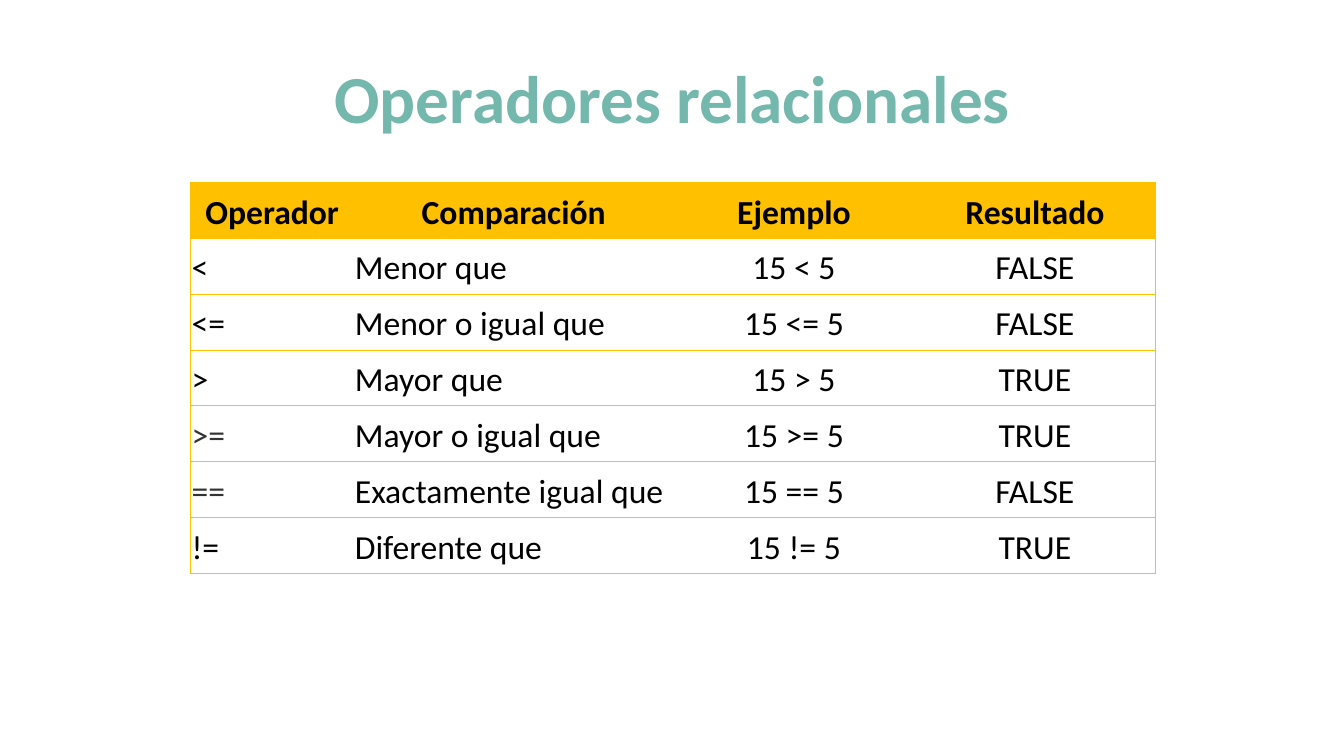
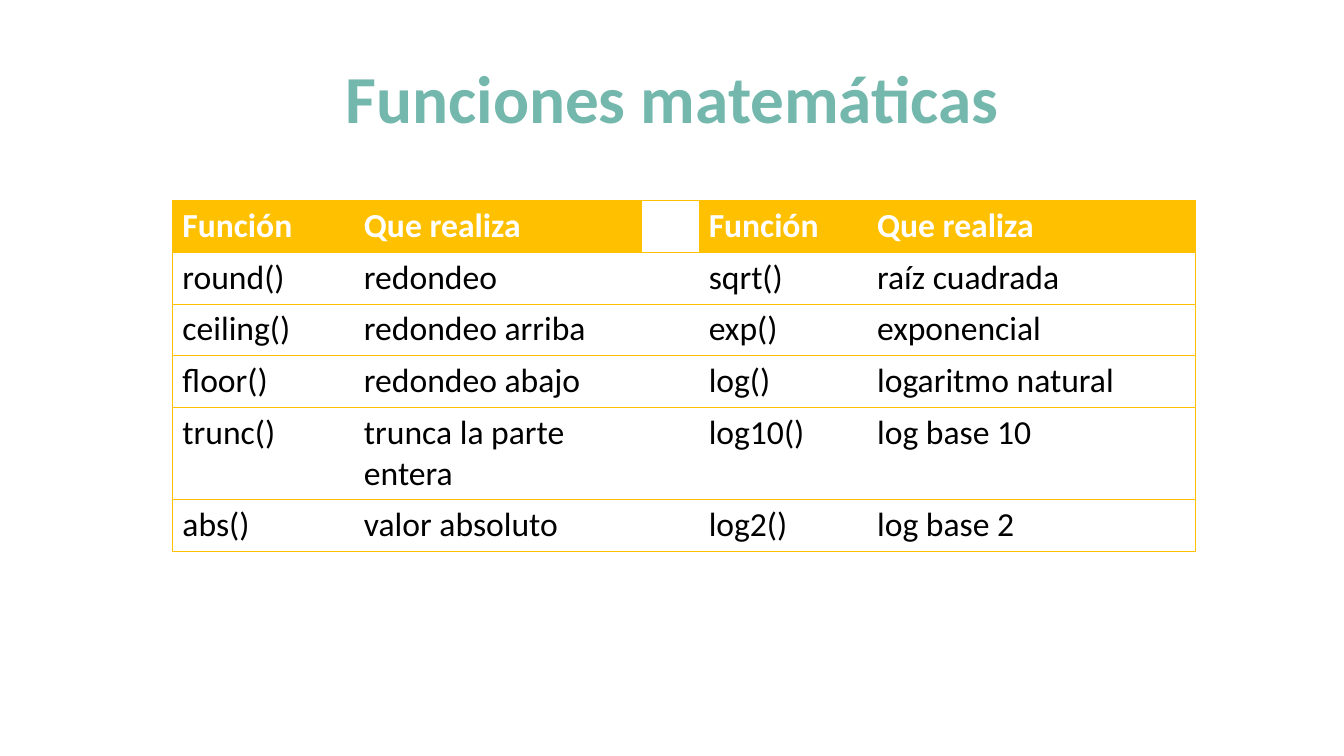
from lxml import etree
from pptx import Presentation
from pptx.dml.color import RGBColor as RGB
from pptx.enum.text import MSO_ANCHOR as Anchor, PP_ALIGN as Align
from pptx.oxml.ns import qn
from pptx.util import Emu, Pt

HUES = {"title": "74B7AD", "gold": "FFC000", "white": "FFFFFF",
        "black": "000000", "gray": "333333"}
FONT = "Calibri"
NO_STYLE = "{2D5ABB26-0587-4C30-8999-92F81FD0307C}"

RELATIONS = [
    ("Operador", "Comparación", "Ejemplo", "Resultado"),
    ("<", "Menor que", "15 < 5", "FALSE"),
    ("<=", "Menor o igual que", "15 <= 5", "FALSE"),
    (">", "Mayor que", "15 > 5", "TRUE"),
    (">=", "Mayor o igual que", "15 >= 5", "TRUE"),
    ("==", "Exactamente igual que", "15 == 5", "FALSE"),
    ("!=", "Diferente que", "15 != 5", "TRUE"),
]
MATH = [
    ("Función", "Que realiza", "", "Función", "Que realiza"),
    ("round()", "redondeo", "", "sqrt()", "raíz cuadrada"),
    ("ceiling()", "redondeo arriba", "", "exp()", "exponencial"),
    ("floor()", "redondeo abajo", "", "log()", "logaritmo natural"),
    ("trunc()", "trunca la parte entera", "", "log10()", "log base 10"),
    ("abs()", "valor absoluto", "", "log2()", "log base 2"),
]


def px(n):
    """Turn px, 100 to the inch, into EMU."""
    return Emu(n * 9144)


def write(frame, text, size=24, hue="black", bold=False, align=Align.LEFT):
    para = frame.paragraphs[0]
    para.alignment = align
    run = para.add_run()
    run.text = text
    font = run.font
    font.name, font.size, font.bold = FONT, Pt(size), bold
    font.color.rgb = RGB.from_string(HUES[hue])


def add_slide(deck, title):
    slide = deck.slides.add_slide(deck.slide_layouts[5])
    shape = slide.shapes.title
    shape.left, shape.top, shape.width, shape.height = map(px, (92, 39, 1150, 114))
    frame = shape.text_frame
    frame.vertical_anchor = Anchor.MIDDLE
    write(frame, title, size=48, hue="title", bold=True, align=Align.CENTER)
    return slide


def add_edges(cell, sides):
    """Rule the given sides (from L, R, T, B, in that order) in gold."""
    props = cell._tc.get_or_add_tcPr()
    for side in sides:
        line = etree.SubElement(props, qn(f"a:ln{side}"), w=str(Pt(0.5)))
        fill = etree.SubElement(line, qn("a:solidFill"))
        etree.SubElement(fill, qn("a:srgbClr"), val=HUES["gold"])


def add_grid(slide, data, left, top, high, widths):
    """Add a ruled table with a gold head and return it."""
    box = map(px, (left, top, sum(widths), high))
    table = slide.shapes.add_table(len(data), len(widths), *box).table
    table.horz_banding = False
    table._tbl.tblPr.find(qn("a:tableStyleId")).text = NO_STYLE
    for col, width in zip(table.columns, widths):
        col.width = px(width)
    last = len(widths) - 1
    for r, row in enumerate(data):
        for c, text in enumerate(row):
            cell = table.cell(r, c)
            add_edges(cell, {0: "L", last: "R"}.get(c, "") + "TB")
            cell.fill.solid()
            hue = "gold" if r == 0 and text else "white"
            cell.fill.fore_color.rgb = RGB.from_string(HUES[hue])
    return table


def add_relations(deck):
    slide = add_slide(deck, "Operadores relacionales")
    table = add_grid(slide, RELATIONS, 189, 181, 388, (162, 317, 239, 239))
    for r, row in enumerate(RELATIONS):
        for c, text in enumerate(row):
            cell = table.cell(r, c)
            cell.vertical_anchor = Anchor.BOTTOM
            cell.margin_left = cell.margin_right = px(1)
            write(cell.text_frame, text, bold=r == 0,
                  hue="gray" if text in (">=", "==") else "black",
                  align=Align.CENTER if r == 0 or c > 1 else Align.LEFT)


def add_math(deck):
    slide = add_slide(deck, "Funciones matemáticas")
    table = add_grid(slide, MATH, 171, 199, 308, (180, 286, 56, 167, 326))
    for r, row in enumerate(MATH):
        for c, text in enumerate(row):
            if text:
                write(table.cell(r, c).text_frame, text, bold=r == 0,
                      hue="black" if r else "white")


def main():
    deck = Presentation()
    deck.slide_width, deck.slide_height = px(1333), px(750)
    add_relations(deck)
    add_math(deck)
    deck.save("out.pptx")


if __name__ == "__main__":
    main()
